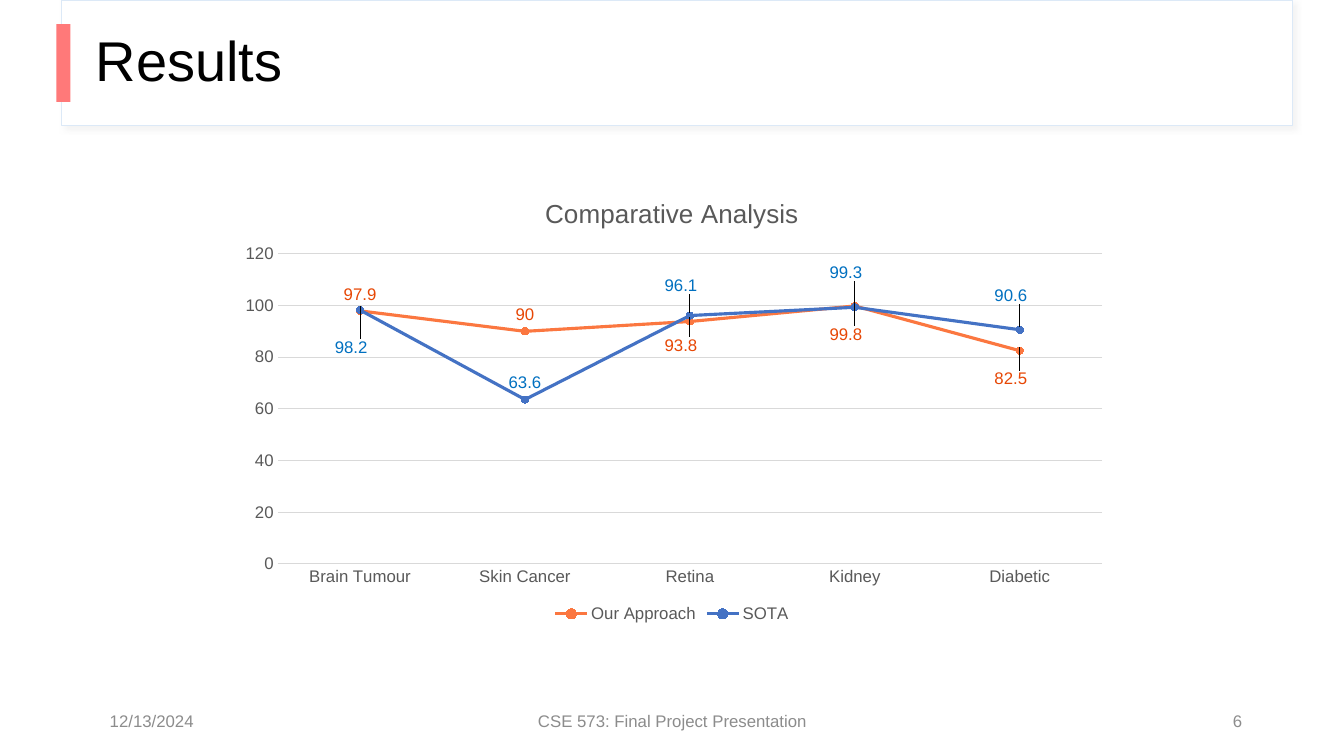
import dataclasses

import pptx
import pptx.chart.data
import pptx.dml.color
import pptx.enum.chart
import pptx.enum.shapes
import pptx.enum.text
import pptx.oxml
import pptx.oxml.ns
import pptx.util

PX = 9144
ALIGN = pptx.enum.text.PP_ALIGN
SPOT = pptx.enum.chart.XL_LABEL_POSITION
TICK = pptx.enum.chart.XL_TICK_MARK


@dataclasses.dataclass(frozen=True)
class Theme:
    font: str = "Arial"
    ink: str = "000000"
    paper: str = "FFFFFF"
    frame: str = "DCE9F7"
    shade: str = "D9D9D9"
    accent: str = "FF7979"
    muted: str = "8C8C8C"
    gray: str = "595959"
    grid: str = "D9D9D9"
    head: float = 40
    title: float = 18.6
    small: float = 12


THEME = Theme()
GROUPS = ["Brain Tumour", "Skin Cancer", "Retina", "Kidney", "Diabetic"]
SERIES = [
    ("Our Approach", [97.9, 90, 93.8, 99.8, 82.5], "FB7740", "E74705",
     {2: 0.09, 3: 0.1, 4: 0.1}),
    ("SOTA", [98.2, 63.6, 96.1, 99.3, 90.6], "4472C4", "0070C0",
     {0: 0.12, 2: -0.03, 3: -0.04, 4: -0.04}),
]


def px(*sizes):
    return [pptx.util.Emu(size * PX) for size in sizes]


def rgb(code):
    return pptx.dml.color.RGBColor.from_string(code)


def style(font, size, color):
    font.name = THEME.font
    font.size = pptx.util.Pt(size)
    font.bold = False
    font.color.rgb = rgb(color)


def stroke(line, color, width):
    line.color.rgb = rgb(color)
    line.width = pptx.util.Pt(width)


def write(shape, text, size=THEME.small, color=THEME.muted,
          align=ALIGN.LEFT, inset=10, space=None):
    frame = shape.text_frame
    frame.word_wrap = True
    frame.auto_size = pptx.enum.text.MSO_AUTO_SIZE.NONE
    frame.vertical_anchor = pptx.enum.text.MSO_ANCHOR.MIDDLE
    frame.margin_left, frame.margin_right = px(inset, 10)
    frame.text = text
    para = frame.paragraphs[0]
    para.alignment = align
    para.line_spacing = space
    style(para.runs[0].font, size, color)


def block(slide, box, fill, edge=None):
    kind = pptx.enum.shapes.MSO_SHAPE.RECTANGLE
    shape = slide.shapes.add_shape(kind, *px(*box))
    shape.shadow.inherit = False
    shape.fill.solid()
    shape.fill.fore_color.rgb = rgb(fill)
    if edge:
        stroke(shape.line, edge, 0.75)
    else:
        shape.line.fill.background()
    return shape


def shadow(shape):
    names = pptx.oxml.ns.nsdecls("a")
    cast = pptx.oxml.parse_xml(
        f'<a:outerShdw {names} blurRad="50800" dist="38100" dir="2700000">'
        f'<a:srgbClr val="{THEME.shade}"><a:alpha val="30000"/></a:srgbClr>'
        '</a:outerShdw>')
    shape.element.spPr.find(pptx.oxml.ns.qn("a:effectLst")).append(cast)


def heading(slide, text):
    shadow(block(slide, (61, 0, 1221, 125), THEME.paper, THEME.frame))
    block(slide, (56, 24, 14, 77), THEME.accent)
    title = slide.shapes.title
    title.left, title.top, title.width, title.height = px(70, 0, 1112, 125)
    write(title, text, size=THEME.head, color=THEME.ink, inset=25, space=0.9)
    slide.shapes.element.append(title.element)


def footer(slide, left, width, text, align):
    box = slide.shapes.add_textbox(*px(left, 695, width, 40))
    write(box, text, align=align)


def layout(**values):
    names = pptx.oxml.ns.nsdecls("c")
    parts = "".join(f'<c:{key} val="{val}"/>' for key, val in values.items())
    return pptx.oxml.parse_xml(
        f"<c:layout {names}><c:manualLayout>{parts}"
        "</c:manualLayout></c:layout>")


def place(plot):
    area = plot._element.getparent()
    for old in area.findall(pptx.oxml.ns.qn("c:layout")):
        area.remove(old)
    area.insert(0, layout(layoutTarget="inner", xMode="edge", yMode="edge",
                          x=0.06, y=0.17, w=0.92, h=0.69))


def trace(series, color, ink, shifts):
    series.smooth = False
    stroke(series.format.line, color, 2.25)
    mark = series.marker
    mark.style = pptx.enum.chart.XL_MARKER_STYLE.CIRCLE
    mark.size = 5
    mark.format.fill.solid()
    mark.format.fill.fore_color.rgb = rgb(color)
    stroke(mark.format.line, color, 0.75)
    labels = series.data_labels
    labels.show_value = True
    labels.position = SPOT.ABOVE
    style(labels.font, THEME.small, ink)
    for index, shift in shifts.items():
        label = series.points[index].data_label
        label.position = SPOT.ABOVE
        style(label.font, THEME.small, ink)
        node = labels._element.find(
            f'{pptx.oxml.ns.qn("c:dLbl")}[{list(shifts).index(index) + 1}]')
        node.insert(1, layout(x=-0.01, y=shift))


def graph(slide):
    data = pptx.chart.data.CategoryChartData()
    data.categories = GROUPS
    for name, values, *_ in SERIES:
        data.add_series(name, values)
    kind = pptx.enum.chart.XL_CHART_TYPE.LINE_MARKERS
    chart = slide.shapes.add_chart(kind, *px(222, 176, 889, 446), data).chart
    style(chart.font, THEME.small, THEME.gray)
    chart.has_title = True
    frame = chart.chart_title.text_frame
    frame.text = "Comparative Analysis"
    style(frame.paragraphs[0].runs[0].font, THEME.title, THEME.gray)
    chart.has_legend = True
    chart.legend.position = pptx.enum.chart.XL_LEGEND_POSITION.BOTTOM
    chart.legend.include_in_layout = False
    style(chart.legend.font, THEME.small, THEME.gray)
    for axis in (chart.category_axis, chart.value_axis):
        axis.major_tick_mark = axis.minor_tick_mark = TICK.NONE
        style(axis.tick_labels.font, THEME.small, THEME.gray)
    stroke(chart.category_axis.format.line, THEME.grid, 0.75)
    scale = chart.value_axis
    scale.minimum_scale, scale.maximum_scale, scale.major_unit = 0, 120, 20
    scale.format.line.fill.background()
    stroke(scale.major_gridlines.format.line, THEME.grid, 0.75)
    plot = chart.plots[0]
    plot.vary_by_categories = False
    place(plot)
    for series, (_, _, color, ink, shifts) in zip(plot.series, SERIES):
        trace(series, color, ink, shifts)


def main():
    deck = pptx.Presentation()
    deck.slide_width, deck.slide_height = px(1333, 750)
    slide = deck.slides.add_slide(deck.slide_layouts[5])
    heading(slide, "Results")
    footer(slide, 99, 300, "12/13/2024", ALIGN.LEFT)
    footer(slide, 442, 450, "CSE 573: Final Project Presentation", ALIGN.CENTER)
    footer(slide, 942, 300, "6", ALIGN.RIGHT)
    graph(slide)
    deck.save("out.pptx")


if __name__ == "__main__":
    main()
